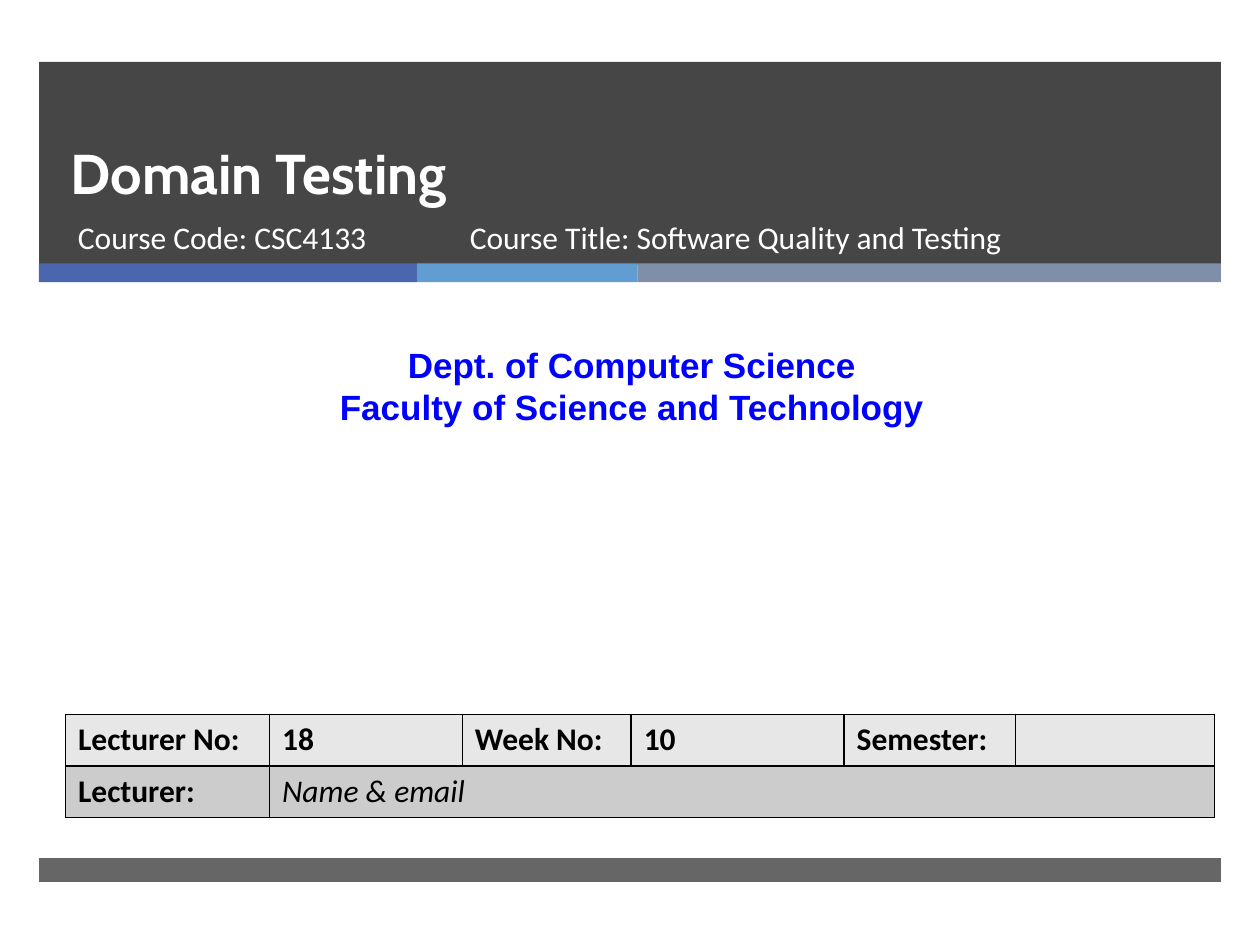
import pptx
import pptx.util
import pptx.dml.color
import pptx.enum.shapes
import pptx.enum.text
import pptx.oxml
import pptx.oxml.ns
import lxml.etree

Inches, Pt = pptx.util.Inches, pptx.util.Pt
RGB = pptx.dml.color.RGBColor.from_string
qn = pptx.oxml.ns.qn

COLORS = {"dark": "262626", "blue": "4A66AC", "sky": "629DD1", "slate": "7F8FA9",
          "white": "FFFFFF", "link_blue": "0000FF", "black": "000000",
          "row_light": "E7E7E7", "row_dark": "CCCCCC"}
BODY = {"name": "Calibri", "size": Pt(18)}

deck = pptx.Presentation()
deck.slide_width, deck.slide_height = Inches(10), Inches(7.5)
slide = deck.slides.add_slide(deck.slide_layouts[5])
shapes = slide.shapes


def write(frame, lines, color, style, align=pptx.enum.text.PP_ALIGN.LEFT):
    """Fill a text frame with one styled paragraph per line."""
    frame.word_wrap = True
    for number, line in enumerate(lines):
        paragraph = frame.add_paragraph() if number else frame.paragraphs[0]
        paragraph.alignment = align
        run = paragraph.add_run()
        run.text = line
        run.font.color.rgb = RGB(COLORS[color])
        for attribute, value in style.items():
            setattr(run.font, attribute, value)


# Header, three-part stripe and footer share the same left edge and width
left, width = 0.31, 9.38
stripe_top, stripe_height = 2.09, 0.15
bands = [(left, 0.49, width, 1.61, "dark", 85), (left, 6.81, width, 0.19, "dark", 70)]
stripe_left = left
for share, color in ((3, "blue"), (1.75, "sky"), (4.63, "slate")):
    bands.append((stripe_left, stripe_top, share, stripe_height, color, 100))
    stripe_left += share
for *box, color, opacity in bands:
    band = shapes.add_shape(pptx.enum.shapes.MSO_SHAPE.RECTANGLE, *map(Inches, box))
    band.shadow.inherit = False
    band.line.fill.background()
    band.fill.solid()
    band.fill.fore_color.rgb = RGB(COLORS[color])
    if opacity < 100:
        tint = band.fill._xPr.find(qn("a:solidFill"))[0]
        lxml.etree.SubElement(tint, qn("a:alpha"), val=str(opacity * 1000))

# Title, brought in front of the header band
title = shapes.title
title.left, title.top, title.width, title.height = map(Inches, (0.46, 0.87, 8.54, 0.81))
title.text_frame.vertical_anchor = pptx.enum.text.MSO_ANCHOR.BOTTOM
write(title.text_frame, ["Domain Testing"], "white",
      {"name": "Cabin", "size": Pt(32), "bold": True})
title.text_frame.paragraphs[0].line_spacing = Pt(46)
title.element.getparent().append(title.element)

# Course line and department
CENTER, LEFT = pptx.enum.text.PP_ALIGN.CENTER, pptx.enum.text.PP_ALIGN.LEFT
department = ["Dept. of Computer Science", "Faculty of Science and Technology"]
department_style = {"name": "Arial", "size": Pt(20), "bold": True}
for box, lines, color, style, align in (
        ((0.52, 1.68, 3.05, 0.53), ["Course Code: CSC4133"], "white", BODY, LEFT),
        ((3.63, 1.68, 4.55, 0.53), ["Course Title: Software Quality and Testing"],
         "white", BODY, LEFT),
        ((0.08, 2.68, 9.87, 0.77), department, "link_blue", department_style, CENTER)):
    write(shapes.add_textbox(*map(Inches, box)).text_frame, lines, color, style, align)

# Lecture details
columns = [1.62, 1.53, 1.34, 1.69, 1.36, 1.58]
details = [["Lecturer No:", "18", "Week No:", "10", "Semester:", ""],
           ["Lecturer:", "Name & email", "", "", "", ""]]
row_height = 0.41
lecture = shapes.add_table(len(details), len(columns), Inches(0.52), Inches(5.67),
                           Inches(sum(columns)), Inches(row_height * len(details))).table
for column, column_width in zip(lecture.columns, columns):
    column.width = Inches(column_width)
for r, (texts, color) in enumerate(zip(details, ("row_light", "row_dark"))):
    lecture.rows[r].height = Inches(row_height)
    for c, text in enumerate(texts):
        cell = lecture.cell(r, c)
        properties = cell._tc.get_or_add_tcPr()
        for side in ("a:lnL", "a:lnR", "a:lnT", "a:lnB"):
            border = lxml.etree.SubElement(properties, qn(side), w=str(Pt(1)))
            paint = lxml.etree.SubElement(border, qn("a:solidFill"))
            lxml.etree.SubElement(paint, qn("a:srgbClr"), val=COLORS["black"])
        cell.fill.solid()
        cell.fill.fore_color.rgb = RGB(COLORS[color])
        if text:
            is_name = text == "Name & email"
            write(cell.text_frame, [text], "black",
                  {**BODY, "bold": not is_name, "italic": is_name})
lecture.cell(1, 1).merge(lecture.cell(1, len(columns) - 1))

deck.save("out.pptx")
